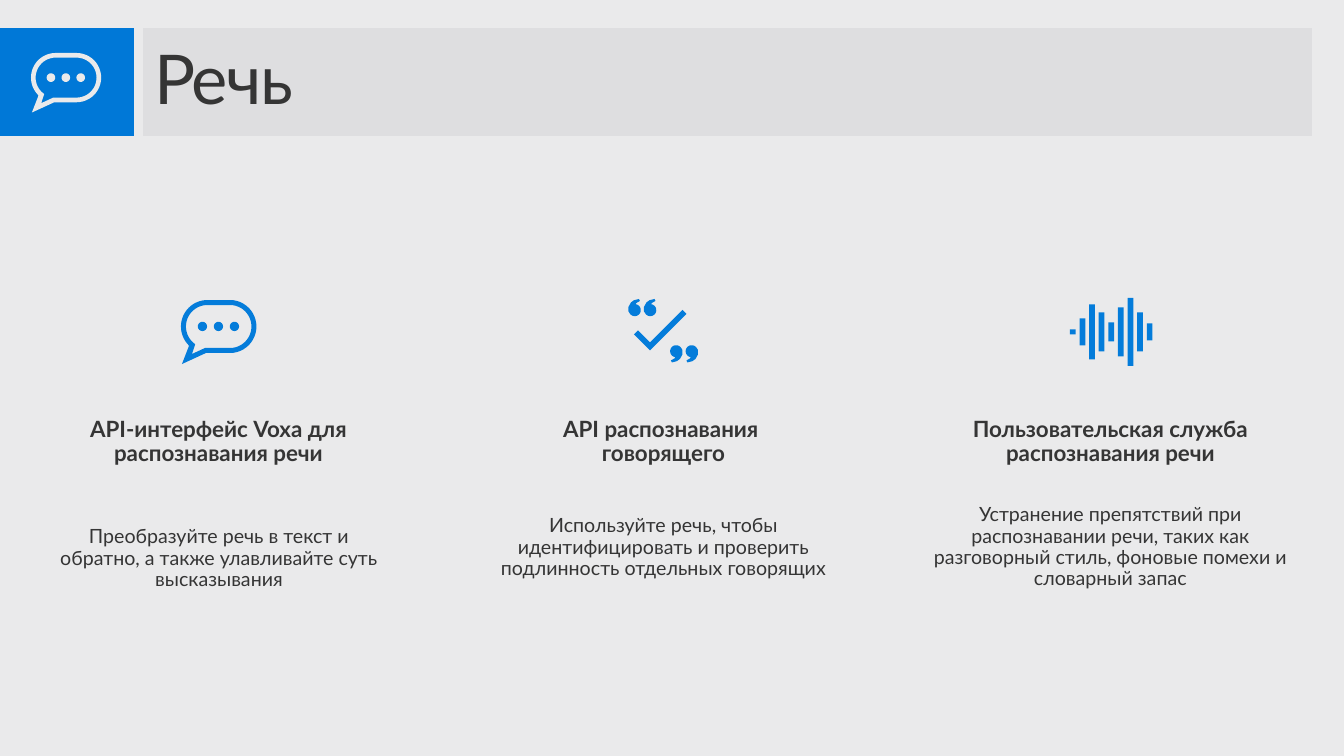
from math import cos, radians, sin

from pptx import Presentation
from pptx.dml.color import RGBColor
from pptx.enum.shapes import MSO_SHAPE
from pptx.enum.text import MSO_ANCHOR, MSO_AUTO_SIZE, PP_ALIGN
from pptx.util import Pt

# Content: heading, its box, text, its box (left, top, width, height in px)
TITLE = "Речь"
CARDS = [
    ("API-интерфейс Voxa для распознавания речи", (17, 402, 403, 81),
     "Преобразуйте речь в текст и обратно, а также улавливайте суть высказывания",
     (44, 522, 350, 75)),
    ("API распознавания \vговорящего", (462, 402, 403, 81),
     "Используйте речь, чтобы идентифицировать и проверить подлинность отдельных говорящих",
     (462, 511, 403, 96)),
    ("Пользовательская служба распознавания речи", (909, 390, 403, 105),
     "Устранение препятствий при распознавании речи, таких как разговорный стиль, "
     "фоновые помехи и словарный запас", (909, 500, 403, 117)),
]
WAVE = [5, 27, 55, 39, 19, 49, 68, 39, 17]
COLORS = {"back": "EAEAEB", "band": "DEDEE0", "tile": "0078D7",
          "icon": "047CDA", "text": "353535"}
FONT = "Lato"
PX = 914400 / 100.8


def emu(n):
    return round(n * PX)


def tint(name):
    return RGBColor.from_string(COLORS[name])


def paint(shape, color):
    shape.shadow.inherit = False
    shape.fill.solid()
    shape.fill.fore_color.rgb = tint(color)
    shape.line.fill.background()


def place(shape, box):
    shape.left, shape.top, shape.width, shape.height = map(emu, box)


def write(shape, text, size, bold=False, align=PP_ALIGN.CENTER,
          anchor=MSO_ANCHOR.TOP, inset=(10, 5, 10, 5), after=6, track=0):
    frame = shape.text_frame
    frame.word_wrap = True
    frame.auto_size = MSO_AUTO_SIZE.NONE
    frame.vertical_anchor = anchor
    (frame.margin_left, frame.margin_top,
     frame.margin_right, frame.margin_bottom) = map(emu, inset)
    para = frame.paragraphs[0]
    para.text = text
    para.alignment = align
    para.line_spacing = 0.9
    para.space_before = Pt(0)
    para.space_after = Pt(after)
    for run in para.runs:
        font = run.font
        font.name, font.size, font.bold = FONT, Pt(size), bold
        font.color.rgb = tint("text")
        if track:
            run._r.get_or_add_rPr().set("spc", str(track))


def block(box, color):
    shape = slide.shapes.add_shape(MSO_SHAPE.RECTANGLE, *map(emu, box))
    paint(shape, color)


def arc(x, y, r, start, end):
    steps = 24
    turns = [radians(start + (end - start) * i / steps) for i in range(steps + 1)]
    return [(x + r * cos(t), y + r * sin(t)) for t in turns]


def draw(loops, left, top, color, zoom=1):
    loops = [[(emu(left + x * zoom), emu(top + y * zoom)) for x, y in loop]
             for loop in loops]
    pen = slide.shapes.build_freeform(*loops[0][0])
    for i, loop in enumerate(loops):
        if i:
            pen.move_to(*loop[0])
        pen.add_line_segments(loop[1:], close=True)
    paint(pen.convert_to_shape(), color)


def bubble(left, top, color, zoom=1):
    dots = [arc(21.5 + 16 * i, 26.5, 4.6, 0, 360) for i in range(3)]
    outer = (arc(49, 26.5, 26.5, -90, 90) + [(25, 53), (1, 64), (8, 46)]
             + arc(26.5, 26.5, 26.5, 136, 270))
    inner = (arc(49, 26.5, 21.5, -90, 90) + [(24, 48), (11, 54), (14, 45)]
             + arc(26.5, 26.5, 21.5, 125, 270))
    draw(dots, left, top, color, zoom)
    draw([outer, inner], left, top, color, zoom)


def quotes(left, top, color):
    mark = ([(11, 0), (12, 2), (8.5, 4), (7, 6)] + arc(6.8, 11.2, 6, -80, 140)
            + [(0.5, 12.5), (0.5, 8), (3, 3.5), (6, 1.3)])
    pair = [[(x + dx, y) for x, y in mark] for dx in (0, 15.5)]
    turned = [[(70.5 - x, 63.5 - y) for x, y in loop] for loop in pair]
    check = [(10, 31.5), (22, 43.5), (54.5, 11), (58.5, 15), (22, 51.5), (6, 35.5)]
    draw([check] + pair + turned, left, top, color)


def wave(left, mid, color):
    bars = []
    for i, high in enumerate(WAVE):
        x, y = 9.6 * i, high / 2
        bars.append([(x, -y), (x + 5.7, -y), (x + 5.7, y), (x, y)])
    draw(bars, left, mid, color)


deck = Presentation()
deck.slide_width, deck.slide_height = emu(1344), emu(756)
slide = deck.slides.add_slide(deck.slide_layouts[5])
slide.background.fill.solid()
slide.background.fill.fore_color.rgb = tint("back")

# Header band with title, gap and tile
title = slide.shapes.title
place(title, (134, 28, 1178, 108))
paint(title, "band")
write(title, TITLE, 49, align=PP_ALIGN.LEFT, anchor=MSO_ANCHOR.MIDDLE,
      inset=(20, 10, 16, 10), after=0, track=-100)
block((134, 14, 9, 140), "back")
block((0, 28, 134, 108), "tile")
bubble(31, 53, "back", zoom=0.93)

# Three service columns
for head, spot, body, area in CARDS:
    label = slide.shapes.add_textbox(*map(emu, spot))
    write(label, head, 16, bold=True, anchor=MSO_ANCHOR.MIDDLE,
          inset=(20, 16, 20, 16))
    note = slide.shapes.add_textbox(*map(emu, area))
    write(note, body, 14)

# Column icons
bubble(181, 300, "icon")
quotes(628, 299, "icon")
wave(1070, 332, "icon")

deck.save("out.pptx")
